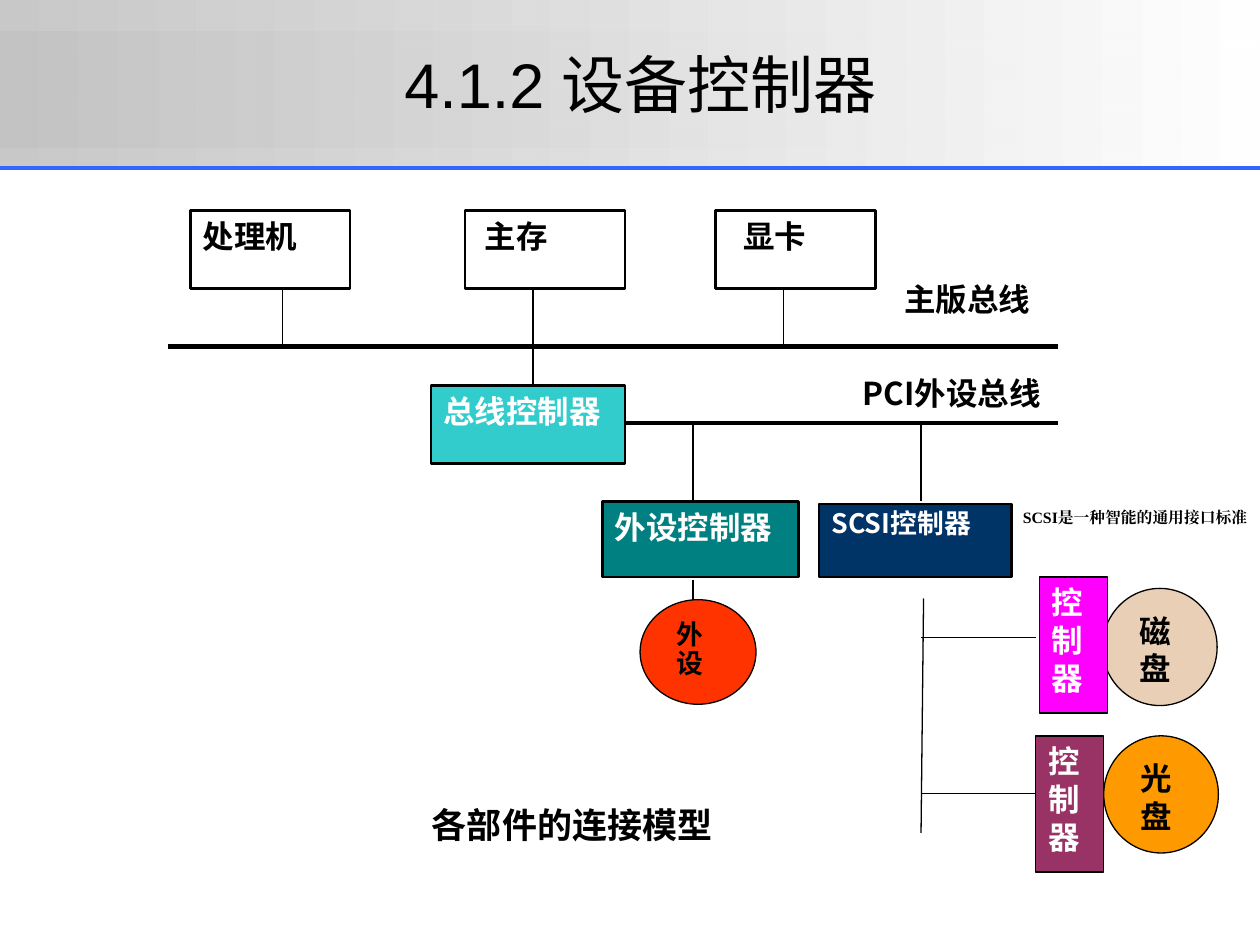
from pptx import Presentation
from pptx.dml.color import RGBColor
from pptx.enum.shapes import MSO_CONNECTOR as Conn, MSO_SHAPE as Kind
from pptx.enum.text import MSO_ANCHOR as Anchor, MSO_AUTO_SIZE as Fit, PP_ALIGN as Align
from pptx.oxml.ns import qn
from pptx.util import Inches, Pt
from lxml.etree import SubElement as Sub

COLS, ROWS = 100, 75
CJK, SANS, SERIF = "Noto Sans CJK SC", "Arial", "Times New Roman"


def color(code):
    """Turn a hex string into a colour."""
    return RGBColor.from_string(code)


def write(frame, text, size=18, ink="000000", face=CJK, bold=True,
          align=Align.JUSTIFY, lead=None, shift=0, top=Anchor.TOP, wrap=True):
    """Fill a text frame, one paragraph for each line."""
    frame.word_wrap = wrap
    frame.vertical_anchor = top
    for i, line in enumerate(text.split("\n")):
        para = frame.paragraphs[0] if i == 0 else frame.add_paragraph()
        para.alignment = align
        para.line_spacing = lead
        if shift:
            para._p.get_or_add_pPr().set("marL", str(Inches(shift)))
        run = para.add_run()
        run.text = line
        font = run.font
        font.name, font.size, font.bold = face, Pt(size), bold
        font.color.rgb = color(ink)
        Sub(run._r.get_or_add_rPr(), qn("a:ea"), typeface=face)


class Board:
    """Hold the slide, its grid and the shared line style."""

    def __init__(self, deck, edge="000000"):
        """Add a blank slide and measure its grid."""
        self.slide = deck.slides.add_slide(deck.slide_layouts[6])
        self.shapes = self.slide.shapes
        self.col = deck.slide_width / COLS
        self.row = deck.slide_height / ROWS
        self.edge = edge

    def place(self, *spots):
        """Turn pairs of columns and rows into lengths."""
        return [round(n * (self.row if i % 2 else self.col))
                for i, n in enumerate(spots)]

    def band(self, spot, alpha):
        """Draw a grey band that fades to white on the right."""
        item = self.shapes.add_shape(Kind.RECTANGLE, *self.place(*spot))
        item.shadow.inherit = False
        item.line.fill.background()
        item.fill.gradient()
        item.fill.gradient_angle = 0
        for stop, code in zip(item.fill.gradient_stops, ("C0C0C0", "FFFFFF")):
            stop.color.rgb = color(code)
        first = next(item._element.spPr.iter(qn("a:srgbClr")))
        Sub(first, qn("a:alpha"), val=str(alpha * 1000))

    def node(self, spot, text, fill=None, width=1.5, kind=Kind.RECTANGLE, **form):
        """Draw an outlined shape with its label."""
        item = self.shapes.add_shape(kind, *self.place(*spot))
        item.shadow.inherit = False
        if fill:
            item.fill.solid()
            item.fill.fore_color.rgb = color(fill)
        else:
            item.fill.background()
        item.line.color.rgb = color(self.edge)
        item.line.width = Pt(width)
        write(item.text_frame, text, **form)

    def disc(self, spot, text, fill, **form):
        """Draw a round device."""
        self.node(spot, text, fill, 0.75, Kind.OVAL, **form)

    def wire(self, x1, y1, x2, y2, width=0.75, ink=None):
        """Draw a straight line between two grid points."""
        item = self.shapes.add_connector(Conn.STRAIGHT, *self.place(x1, y1, x2, y2))
        item.line.color.rgb = color(ink or self.edge)
        item.line.width = Pt(width)
        Sub(item._element.spPr, qn("a:effectLst"))

    def label(self, spot, text, **form):
        """Place free text."""
        frame = self.shapes.add_textbox(*self.place(*spot)).text_frame
        write(frame, text, **form)
        frame.auto_size = Fit.SHAPE_TO_FIT_TEXT


def main():
    """Build the slide and save it."""
    deck = Presentation()
    deck.slide_width, deck.slide_height = Inches(10), Inches(7.5)
    board = Board(deck)

    board.band((0, 0, 100, 13.3), 86)
    board.band((0, 2.5, 100, 9.2), 59)
    board.wire(0, 13.3, 100, 13.3, 2.25, "3366FF")
    board.label((11.7, 3.1, 78.3, 7), "4.1.2 设备控制器", size=36, face=SANS,
                bold=False, align=Align.CENTER)

    for left, text, shift in ((15.1, "处理机", 0), (36.9, "主存", 0.06),
                              (56.8, "显卡", 0.12)):
        board.node((left, 16.7, 12.7, 6.2), text, shift=shift)
    board.wire(13.3, 27.5, 84, 27.5, 3)
    for x, end in ((22.4, 27.5), (42.3, 30.6), (62.2, 27.5)):
        board.wire(x, 22.8, x, end)
    board.label((70.8, 21.7, 12.5, 4), "主版总线")

    board.node((34.2, 30.6, 15.4, 6.2), "总线控制器", "33CCCC", ink="FFFFFF")
    board.wire(49.6, 33.6, 84, 33.6, 2.25)
    board.label((67.5, 29.2, 20, 4), "PCI外设总线")
    for x in (55, 73.1):
        board.wire(x, 33.6, x, 39.8)

    board.node((47.8, 39.8, 15.6, 6), "外设控制器", "008080", ink="FFFFFF")
    board.wire(55, 46, 55, 47.6)
    board.disc((50.8, 47.6, 9.2, 8.3), "外\n设", "FF3300", size=15.3,
               lead=0.9, shift=0.06)

    board.node((65, 40, 15.3, 5.8), "SCSI控制器", "003366", size=15.3,
               ink="FFFFFF", lead=0.9)
    board.label((80.2, 39.8, 20.3, 2.5), "SCSI是一种智能的通用接口标准", size=9,
                face=SERIF, align=Align.LEFT, top=Anchor.MIDDLE, wrap=False)
    board.wire(73.3, 47.5, 73.1, 66.1)
    for y in (50.6, 63):
        board.wire(73.1, y, 82.2, y)
    for left, top, fill, disc, text, tint in (
            (82.5, 45.8, "FF00FF", (87.5, 46.7), "磁\n盘", "E9CFB5"),
            (82.2, 58.4, "993366", (87.6, 58.4), "光\n盘", "FF9900")):
        board.disc((*disc, 9.1, 9.3), text, tint, shift=0.06)
        board.node((left, top, 5.4, 10.8), "控制器", fill, 0.75, ink="FFFFFF")

    board.label((33.3, 63.3, 33.3, 4.4), "各部件的连接模型", size=20, face=SANS,
                align=Align.LEFT)
    deck.save("out.pptx")


if __name__ == "__main__":
    main()
